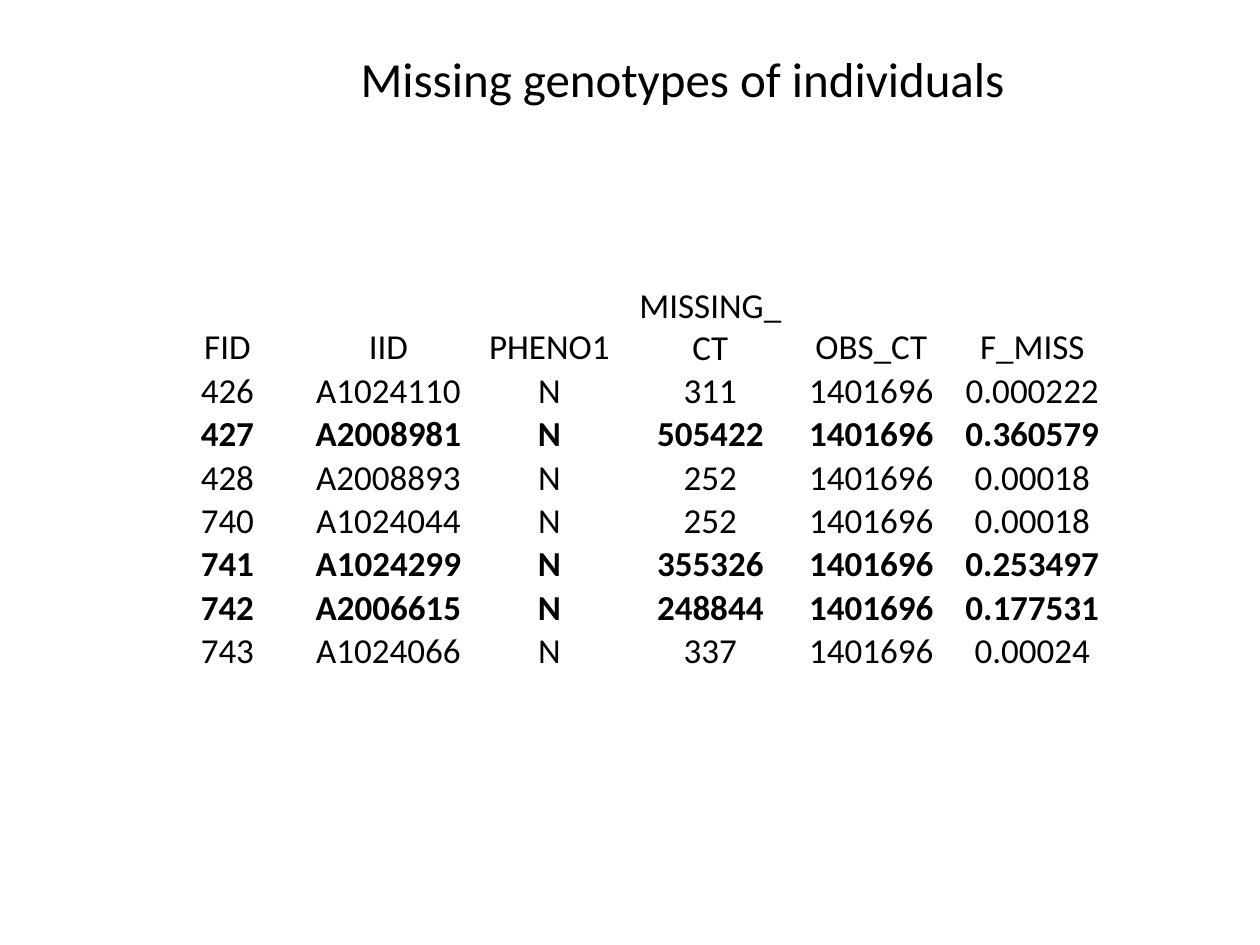
from pptx import Presentation
from pptx.dml.color import RGBColor
from pptx.enum import text
from pptx.util import Pt

BLACK = RGBColor(0, 0, 0)
HEAD = ["FID", "IID", "PHENO1", "MISSING_CT", "OBS_CT", "F_MISS"]
ROWS = [
    ("426", "A1024110", "311", "0.000222"),
    ("427", "A2008981", "505422", "0.360579"),
    ("428", "A2008893", "252", "0.00018"),
    ("740", "A1024044", "252", "0.00018"),
    ("741", "A1024299", "355326", "0.253497"),
    ("742", "A2006615", "248844", "0.177531"),
    ("743", "A1024066", "337", "0.00024"),
]
PHENO, TOTAL = "N", "1401696"
LIMIT = 0.1


class Deck:
    """Hold the text style and the current slide."""

    def __init__(self, show):
        self.face = "Calibri"
        self.slide = show.slides.add_slide(show.slide_layouts[5])

    def style(self, para, size, bold=False):
        para.alignment = text.PP_ALIGN.CENTER
        font = para.font
        font.name, font.size, font.bold = self.face, Pt(size), bold
        font.color.rgb = BLACK

    def title(self, words, left, top, width, height):
        box = self.slide.shapes.title
        box.left, box.top = Pt(left), Pt(top)
        box.width, box.height = Pt(width), Pt(height)
        frame = box.text_frame
        frame.text = words
        frame.word_wrap = True
        frame.auto_size = text.MSO_AUTO_SIZE.SHAPE_TO_FIT_TEXT
        frame.vertical_anchor = text.MSO_ANCHOR.TOP
        self.style(frame.paragraphs[0], 28)

    def table(self, rows, bold, left, top, width, height):
        grid = self.slide.shapes.add_table(
            len(rows), len(rows[0]), Pt(left), Pt(top), Pt(width), Pt(height)
        ).table
        grid.first_row = grid.horz_banding = False
        for r, row in enumerate(rows):
            for c, words in enumerate(row):
                self.cell(grid.cell(r, c), words, r in bold)

    def cell(self, cell, words, bold):
        cell.text = words
        cell.fill.background()
        cell.vertical_anchor = text.MSO_ANCHOR.BOTTOM
        cell.margin_left = cell.margin_right = cell.margin_top = Pt(0.75)
        cell.margin_bottom = 0
        self.style(cell.text_frame.paragraphs[0], 20, bold)


def main():
    show = Presentation()
    show.slide_width, show.slide_height = Pt(720), Pt(540)
    deck = Deck(show)
    rows = [HEAD] + [[f, i, PHENO, n, TOTAL, m] for f, i, n, m in ROWS]
    bold = [r for r, row in enumerate(ROWS, 1) if float(row[-1]) > LIMIT]
    deck.table(rows, bold, 84, 162, 552, 120)
    deck.title("Missing genotypes of individuals", 138, 24, 504, 41)
    show.save("out.pptx")


if __name__ == "__main__":
    main()
